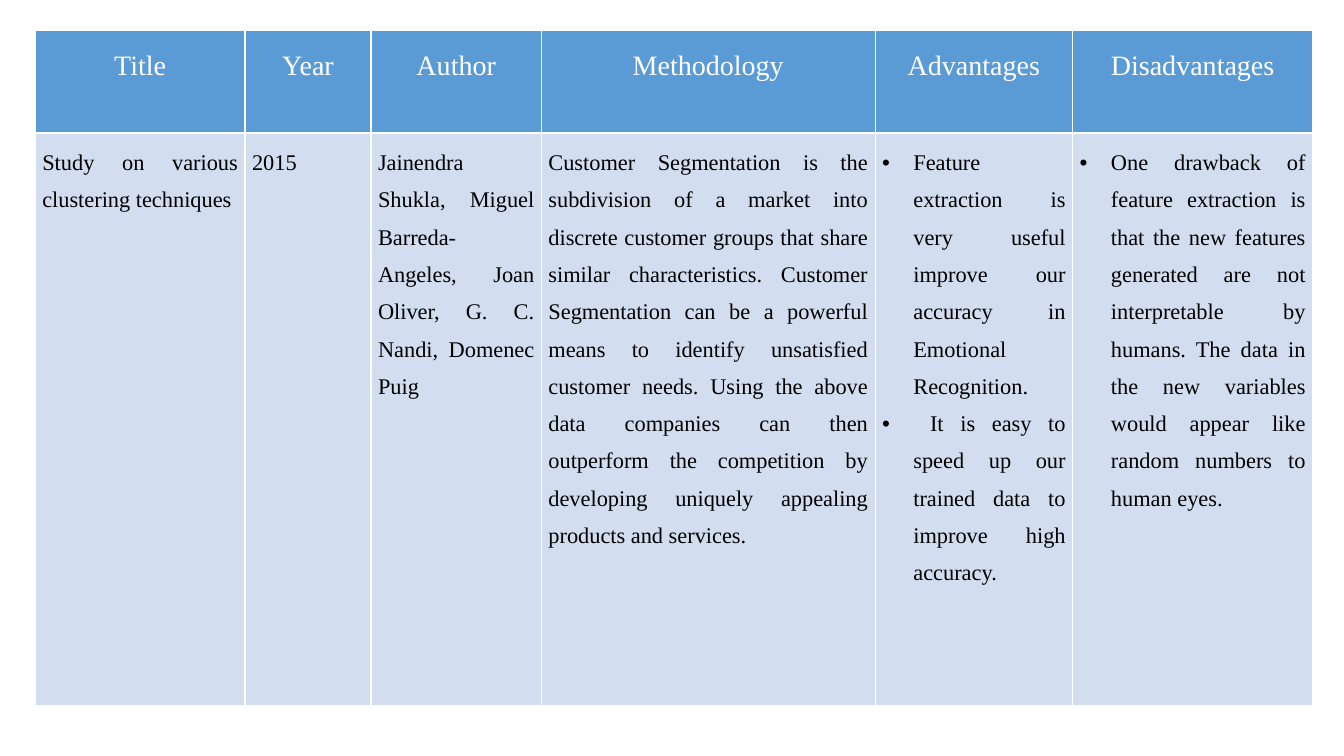
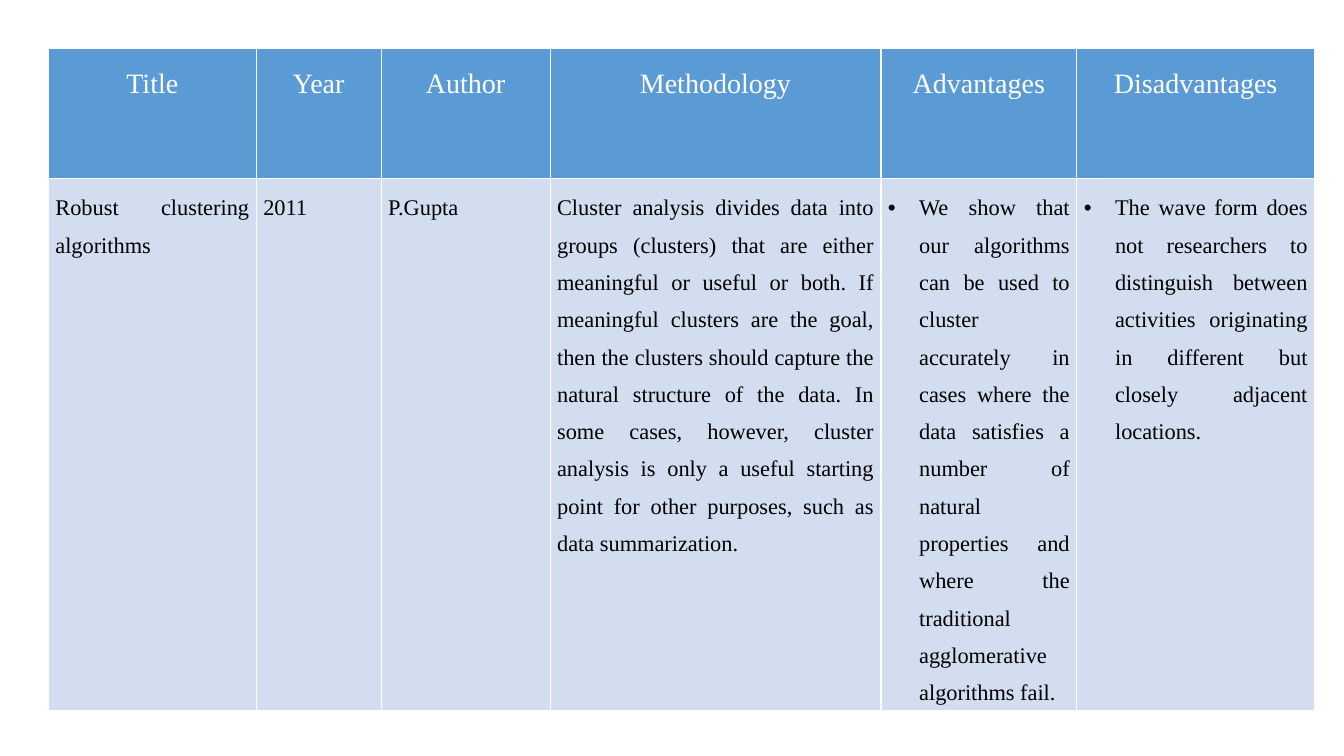
from dataclasses import dataclass

from lxml import etree
from pptx import Presentation
from pptx.dml.color import RGBColor
from pptx.enum.text import PP_ALIGN
from pptx.oxml.ns import qn
from pptx.util import Inches, Pt

CENTER, JUSTIFY = PP_ALIGN.CENTER, PP_ALIGN.JUSTIFY

# Shared look
FONT = "Times New Roman"
WHITE, BLACK = "FFFFFF", "000000"
HEADER_FILL, BODY_FILL = "5B9BD5", "D2DEEF"
HEADER_SIZE, BODY_SIZE = 20, 16
LINE_SPACING = 1.5
BORDER = Pt(1)
BULLET_INDENT = Inches(0.31)
INSET_X, INSET_Y = Inches(0.07), Inches(0.05)

HEADINGS = ("Title", "Year", "Author", "Methodology", "Advantages", "Disadvantages")
BULLETED = ("Advantages", "Disadvantages")
COLUMN_SHARES = (2.08, 1.25, 1.69, 3.31, 1.96, 2.38)


@dataclass(frozen=True)
class Review:
    """One surveyed paper and the place of its table, in inches."""
    left: float
    top: float
    width: float
    header_height: float
    body_height: float
    entries: tuple[str, ...]  # one per heading; a line break starts a new paragraph


REVIEWS = (
    Review(0.35, 0.3, 12.67, 1.02, 5.68, (
        "Study on various clustering techniques",
        "2015",
        "Jainendra Shukla, Miguel Barreda-Angeles, Joan Oliver, G. C. Nandi, Domenec Puig",
        "Customer Segmentation is the subdivision of a market into discrete customer "
        "groups that share similar characteristics. Customer Segmentation can be a "
        "powerful means to identify unsatisfied customer needs. Using the above data "
        "companies can then outperform the competition by developing uniquely appealing "
        "products and services.",
        "Feature extraction is very useful improve our accuracy in Emotional Recognition.\n"
        " It is easy to speed up our trained data to improve high accuracy.",
        "One drawback of feature extraction is that the new features generated are not "
        "interpretable by humans. The data in the new variables would appear like random "
        "numbers to human eyes.",
    )),
    Review(0.48, 0.48, 12.56, 1.29, 5.21, (
        "Robust clustering algorithms",
        "2011",
        "P.Gupta",
        "Cluster analysis divides data into groups (clusters) that are either meaningful "
        "or useful or both. If meaningful clusters are the goal, then the clusters should "
        "capture the natural structure of the data. In some cases, however, cluster "
        "analysis is only a useful starting point for other purposes, such as data "
        "summarization.",
        "We show that our algorithms can be used to cluster accurately in cases where the "
        "data satisfies a number of natural properties and where the traditional "
        "agglomerative algorithms fail.",
        "The wave form does not researchers to distinguish between activities originating "
        "in different but closely adjacent locations.",
    )),
)


def rgb(color: str) -> RGBColor:
    return RGBColor.from_string(color)


def add_borders(cell) -> None:
    """Draw a white line on all four sides; lines come before the fill in the XML."""
    properties = cell._tc.get_or_add_tcPr()
    for index, side in enumerate(("a:lnL", "a:lnR", "a:lnT", "a:lnB")):
        line = etree.Element(qn(side), w=str(int(BORDER)))
        fill = etree.SubElement(line, qn("a:solidFill"))
        etree.SubElement(fill, qn("a:srgbClr"), val=WHITE)
        properties.insert(index, line)


def add_bullet(paragraph) -> None:
    properties = paragraph._p.get_or_add_pPr()
    properties.set("marL", str(int(BULLET_INDENT)))
    properties.set("indent", str(-int(BULLET_INDENT)))
    etree.SubElement(properties, qn("a:buFont"), typeface="Arial")
    etree.SubElement(properties, qn("a:buChar"), char="•")


def fill_cell(cell, text: str, fill: str, color: str, size: int,
              align: PP_ALIGN, bulleted: bool = False) -> None:
    cell.fill.solid()
    cell.fill.fore_color.rgb = rgb(fill)
    add_borders(cell)
    cell.margin_left = cell.margin_right = INSET_X
    cell.margin_top = cell.margin_bottom = INSET_Y
    cell.text_frame.text = text
    for paragraph in cell.text_frame.paragraphs:
        paragraph.alignment = align
        paragraph.line_spacing = LINE_SPACING
        if bulleted:
            add_bullet(paragraph)
        for run in paragraph.runs:
            run.font.name = FONT
            run.font.size = Pt(size)
            run.font.bold = False
            run.font.color.rgb = rgb(color)


def add_review(slide, review: Review) -> None:
    table = slide.shapes.add_table(
        2, len(HEADINGS), Inches(review.left), Inches(review.top), Inches(review.width),
        Inches(review.header_height + review.body_height)).table
    table.horz_banding = False
    table.rows[0].height = Inches(review.header_height)
    table.rows[1].height = Inches(review.body_height)

    # Columns keep the same proportions at any table width
    scale = review.width / sum(COLUMN_SHARES)
    for column, share in zip(table.columns, COLUMN_SHARES):
        column.width = Inches(share * scale)

    for index, (heading, entry) in enumerate(zip(HEADINGS, review.entries)):
        fill_cell(table.cell(0, index), heading, HEADER_FILL, WHITE, HEADER_SIZE, CENTER)
        fill_cell(table.cell(1, index), entry, BODY_FILL, BLACK, BODY_SIZE, JUSTIFY,
                  bulleted=heading in BULLETED)


def main() -> None:
    deck = Presentation()
    deck.slide_width, deck.slide_height = Inches(13.33), Inches(7.5)
    blank_layout = deck.slide_layouts[6]
    for review in REVIEWS:
        add_review(deck.slides.add_slide(blank_layout), review)
    deck.save("out.pptx")


if __name__ == "__main__":
    main()
